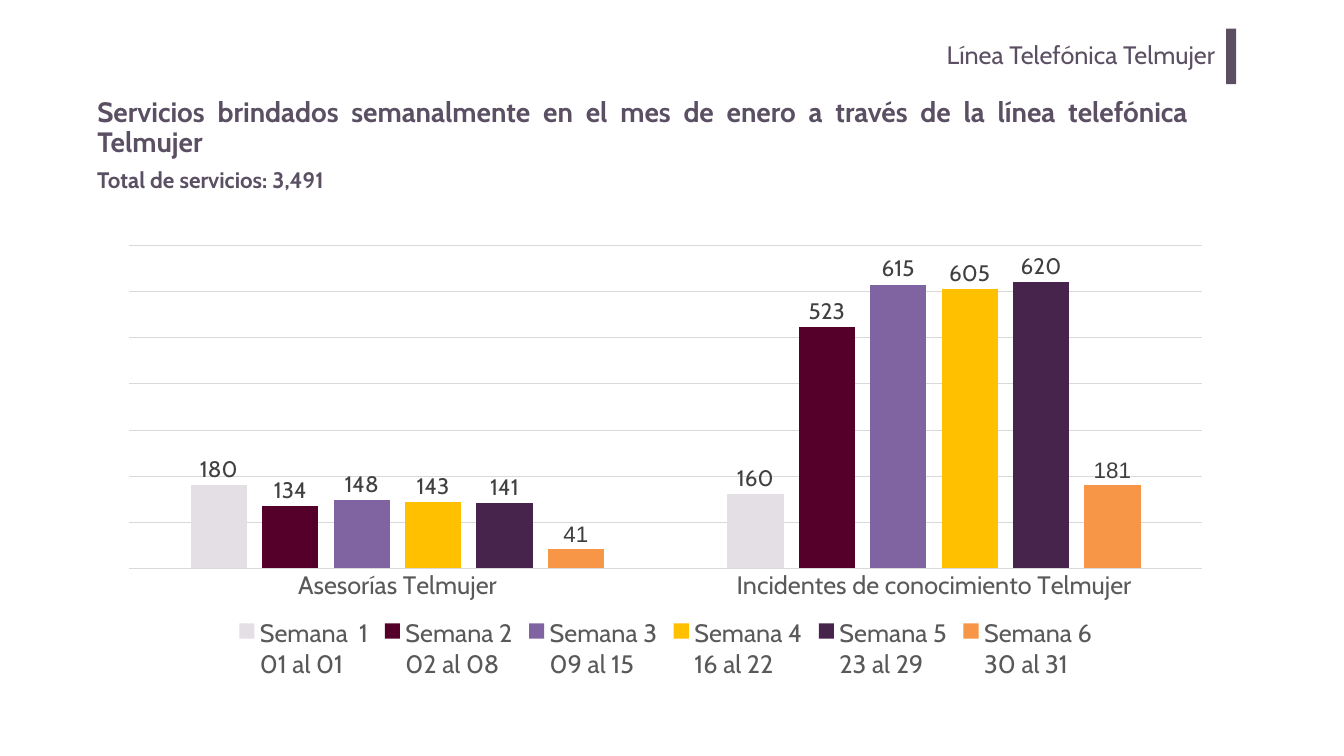
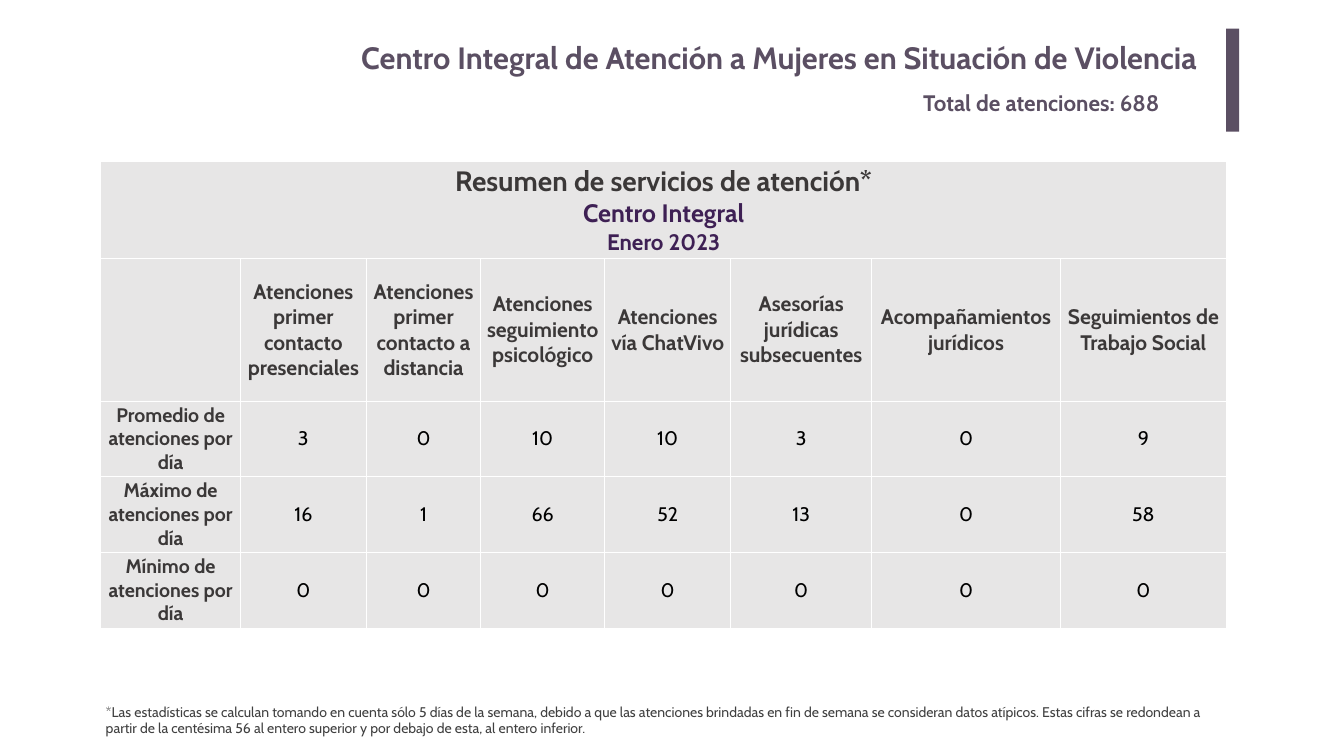
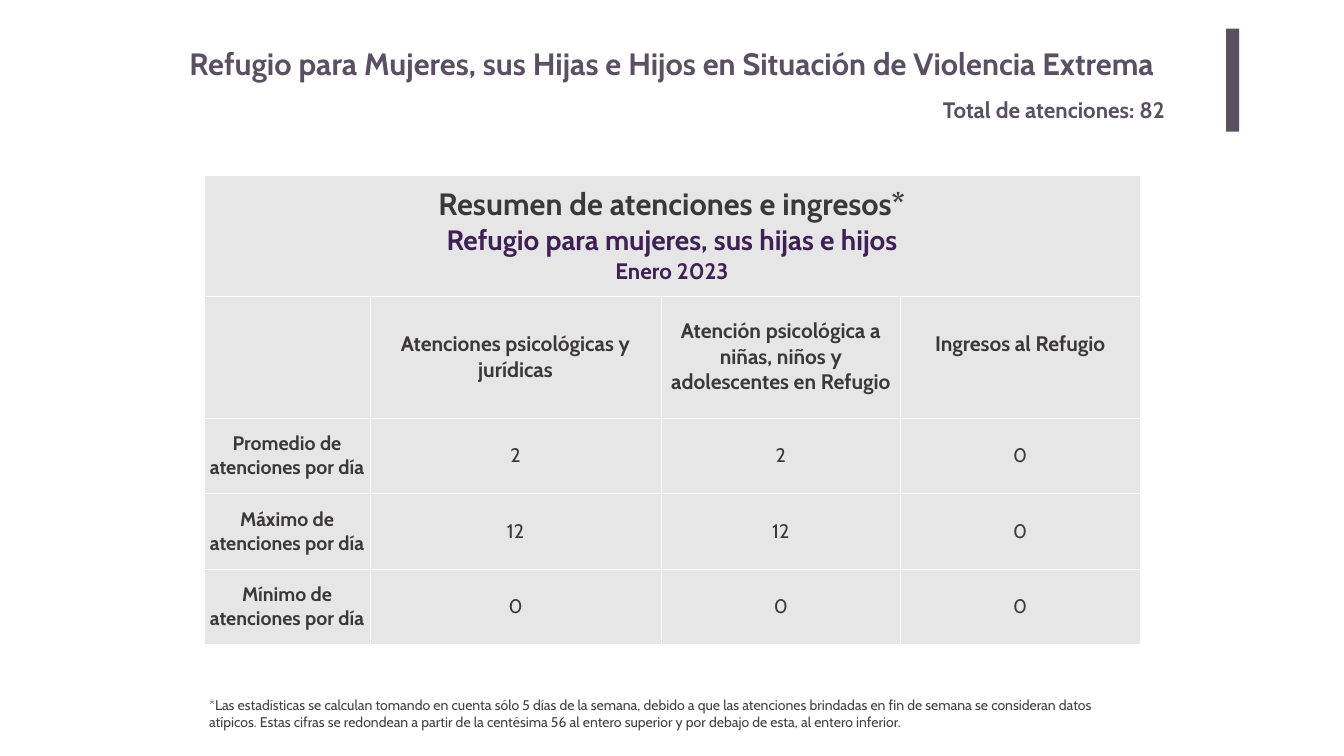
from pptx import Presentation
from pptx.chart.data import CategoryChartData
from pptx.dml.color import RGBColor
from pptx.enum.chart import XL_CHART_TYPE as ChartType, XL_LABEL_POSITION as LabelPosition
from pptx.enum.chart import XL_LEGEND_POSITION as LegendPosition, XL_TICK_LABEL_POSITION as TickLabels
from pptx.enum.chart import XL_TICK_MARK as TickMark
from pptx.enum.shapes import MSO_SHAPE as Shape
from pptx.enum.text import MSO_ANCHOR as Anchor, MSO_AUTO_SIZE as AutoSize, PP_ALIGN as Align
from pptx.oxml import parse_xml
from pptx.oxml.ns import nsdecls
from pptx.util import Inches, Pt

FONT = "Cabin"
PURPLE, VIOLET, DARK, BLACK = "5B4F63", "3E2054", "3B3838", "000000"
WHITE, CELL_GREY, GRID_GREY = "FFFFFF", "E7E6E6", "D9D9D9"
AXIS_TEXT, NOTE_TEXT = "595959", "404040"
WIDE_INSETS, TIGHT_INSETS = (0.2, 0.1), (0.1, 0.05)
NOTE = ("*Las estadísticas se calculan tomando en cuenta sólo 5 días de la semana, debido a que las "
        "atenciones brindadas en fin de semana se consideran datos atípicos. Estas cifras se redondean "
        "a partir de la centésima 56 al entero superior y por debajo de esta, al entero inferior.")
MEASURES = ["Promedio", "Máximo", "Mínimo"]
CATEGORIES = ["Asesorías Telmujer", "Incidentes de conocimiento Telmujer"]
WEEKS = [
    ("Semana  1\n01 al 01", (180, 160), "E3DFE5", FONT),
    ("Semana 2\n02 al 08", (134, 523), "54002A", FONT),
    ("Semana 3\n09 al 15", (148, 615), "8064A2", FONT),
    ("Semana 4\n16 al 22", (143, 605), "FFC000", FONT),
    ("Semana 5\n23 al 29", (141, 620), "46244C", FONT),
    ("Semana 6\n30 al 31", (41, 181), "F79646", "Arial"),
]


def color(code):
    """Turn a hex string into a colour."""
    return RGBColor.from_string(code)


def style_font(font, size, code, bold=False, name=FONT):
    """Set size, colour, weight and typeface."""
    font.size, font.bold, font.name = Pt(size), bold, name
    font.color.rgb = color(code)


def fill_frame(frame, text, size, code, bold, align, insets=TIGHT_INSETS):
    """Write one styled paragraph into a text frame."""
    frame.word_wrap, frame.auto_size = True, AutoSize.NONE
    frame.margin_left = frame.margin_right = Inches(insets[0])
    frame.margin_top = frame.margin_bottom = Inches(insets[1])
    para = frame.paragraphs[0]
    para.text, para.alignment = text, align
    style_font(para.font, size, code, bold)
    return para


def add_text(page, box, text, size, code=PURPLE, bold=True, align=Align.LEFT, insets=TIGHT_INSETS):
    """Add a text box holding one paragraph."""
    shape = page.shapes.add_textbox(*map(Inches, box))
    fill_frame(shape.text_frame, text, size, code, bold, align, insets)


def set_title(page, box, text, size, align, anchor=Anchor.TOP, insets=TIGHT_INSETS, spacing=1.0):
    """Move and format the title placeholder."""
    title = page.shapes.title
    title.left, title.top, title.width, title.height = map(Inches, box)
    para = fill_frame(title.text_frame, text, size, PURPLE, True, align, insets)
    para.line_spacing = spacing
    title.text_frame.vertical_anchor = anchor


def add_band(page, width, height):
    """Add the vertical band at the top right."""
    band = page.shapes.add_shape(Shape.RECTANGLE, *map(Inches, (24.33, 0.57, width, height)))
    band.shadow.inherit = False
    band.fill.solid()
    band.fill.fore_color.rgb = color(PURPLE)
    band.line.fill.background()


def add_week_chart(page, box):
    """Add the clustered columns of services per week."""
    data = CategoryChartData(number_format="0")
    data.categories = CATEGORIES
    for name, values, _, _ in WEEKS:
        data.add_series(name, values)
    chart = page.shapes.add_chart(ChartType.COLUMN_CLUSTERED, *map(Inches, box), data).chart
    style_font(chart.font, 10, BLACK, name="Arial")
    chart.has_title = False
    chart.has_legend = True
    chart.legend.position = LegendPosition.BOTTOM
    chart.legend.include_in_layout = False
    style_font(chart.legend.font, 36, AXIS_TEXT)

    plot = chart.plots[0]
    plot.gap_width, plot.overlap, plot.vary_by_categories = 219, -27, False
    for series, (_, _, code, label_font) in zip(plot.series, WEEKS):
        series.format.fill.solid()
        series.format.fill.fore_color.rgb = color(code)
        series.invert_if_negative = False
        labels = series.data_labels
        labels.show_value, labels.position = True, LabelPosition.OUTSIDE_END
        labels.number_format, labels.number_format_is_linked = "0", False
        style_font(labels.font, 32, NOTE_TEXT, name=label_font)

    categories, values = chart.category_axis, chart.value_axis
    style_font(categories.tick_labels.font, 36, AXIS_TEXT)
    categories.major_tick_mark = TickMark.NONE
    categories.tick_label_position = TickLabels.NEXT_TO_AXIS
    values.visible, values.has_major_gridlines = False, True
    values.minimum_scale, values.maximum_scale, values.major_unit = 0, 700, 100
    for line in (categories.format.line, values.major_gridlines.format.line):
        line.color.rgb, line.width = color(GRID_GREY), Pt(0.75)


def format_cell(cell, lines):
    """Fill a cell with centred lines of (text, size, colour, bold)."""
    properties = cell._tc.get_or_add_tcPr()
    for side in "LRTB":
        properties.append(parse_xml(
            f'<a:ln{side} {nsdecls("a")} w="12700"><a:solidFill><a:srgbClr val="{WHITE}"/>'
            f'</a:solidFill></a:ln{side}>'))
    cell.fill.solid()
    cell.fill.fore_color.rgb = color(CELL_GREY)
    cell.margin_left = cell.margin_right = cell.margin_top = cell.margin_bottom = 0
    cell.vertical_anchor = Anchor.MIDDLE
    for index, (text, size, code, bold) in enumerate(lines):
        para = cell.text_frame.add_paragraph() if index else cell.text_frame.paragraphs[0]
        para.text, para.alignment = text, Align.CENTER
        style_font(para.font, size, code, bold)


def add_summary_table(page, corner, widths, heights, heading, columns, values, value_color):
    """Add a summary table with a merged heading and three measures."""
    size = (sum(widths), sum(heights))
    table = page.shapes.add_table(len(heights), len(widths), *map(Inches, (*corner, *size))).table
    table.first_row = table.horz_banding = False
    for column, width in zip(table.columns, widths):
        column.width = Inches(width)
    for row, height in zip(table.rows, heights):
        row.height = Inches(height)

    sizes_and_colors = zip(heading, (DARK, VIOLET, VIOLET))
    grid = [[[(text, points, code, True) for (text, points), code in sizes_and_colors]]
            + [[] for _ in columns]]
    grid.append([[]] + [[(text, 30, DARK, True)] for text in columns])
    for measure, numbers in zip(MEASURES, values):
        grid.append([[(f"{measure} de atenciones por día", 28, DARK, True)]]
                    + [[(str(number), 28, value_color, False)] for number in numbers])
    for row, contents in enumerate(grid):
        for column, lines in enumerate(contents):
            format_cell(table.cell(row, column), lines)
    table.cell(0, 0).merge(table.cell(0, len(columns)))
    return table


def build_phone_page(page):
    """Build the page on the telephone line."""
    add_band(page, 0.2, 1.1)
    add_text(page, (4.01, 0.67, 20.3, 1.02), "Línea Telefónica Telmujer", 36,
             bold=False, align=Align.RIGHT, insets=WIDE_INSETS)
    set_title(page, (1.83, 1.82, 21.85, 1.45),
              "Servicios brindados semanalmente en el mes de enero a través de la línea telefónica Telmujer",
              40, Align.JUSTIFY, Anchor.MIDDLE, spacing=0.9)
    add_text(page, (1.83, 3.24, 5.64, 0.64), "Total de servicios: 3,491", 32)
    add_week_chart(page, (2.12, 4.69, 22.18, 8.89))


def build_center_page(page):
    """Build the page on the comprehensive centre."""
    add_summary_table(
        page, (2, 3.21), [2.77, 2.5, 2.27, 2.46, 2.5, 2.8, 3.74, 3.3], [1.92, 2.83] + [1.5] * 3,
        [("Resumen de servicios de atención*", 40), ("Centro Integral", 36), ("Enero 2023", 32)],
        ["Atenciones primer contacto presenciales", "Atenciones primer contacto a distancia",
         "Atenciones seguimiento psicológico", "Atenciones vía ChatVivo",
         "Asesorías jurídicas subsecuentes", "Acompañamientos jurídicos",
         "Seguimientos de Trabajo Social"],
        [(3, 0, 10, 10, 3, 0, 9), (16, 1, 66, 52, 13, 0, 58), (0,) * 7], BLACK)
    set_title(page, (3.66, 0.67, 20.3, 1.02),
              "Centro Integral de Atención a Mujeres en Situación de Violencia",
              44, Align.RIGHT, insets=WIDE_INSETS)
    add_band(page, 0.26, 2.04)
    add_text(page, (18.22, 1.71, 5.92, 0.64), "Total de atenciones: 688", 32)
    add_text(page, (2, 13.9, 22.33, 0.77), NOTE, 20, NOTE_TEXT, False)


def build_shelter_page(page):
    """Build the page on the shelter."""
    table = add_summary_table(
        page, (4.05, 3.47), [3.29, 5.78, 4.75, 4.75], [2.4, 2.42] + [1.5] * 3,
        [("Resumen de atenciones e ingresos*", 44), ("Refugio para mujeres, sus hijas e hijos", 40),
         ("Enero 2023", 32)],
        ["Atenciones psicológicas y jurídicas",
         "Atención psicológica a niñas, niños y adolescentes en Refugio", "Ingresos al Refugio"],
        [(2, 2, 0), (12, 12, 0), (0,) * 3], DARK)
    table.cell(1, 3).margin_bottom = Inches(0.5)
    set_title(page, (3.66, 0.84, 20.73, 0.84),
              "Refugio para Mujeres, sus Hijas e Hijos en Situación de Violencia Extrema", 44, Align.LEFT)
    add_band(page, 0.26, 2.04)
    add_text(page, (18.61, 1.85, 5.35, 0.64), "Total de atenciones: 82", 32)
    add_text(page, (4.05, 13.77, 18.56, 0.77), NOTE, 20, NOTE_TEXT, False)


def main():
    """Build the deck and save it."""
    deck = Presentation()
    deck.slide_width, deck.slide_height = Inches(26.67), Inches(15)
    title_only = deck.slide_layouts[5]
    for build in (build_phone_page, build_center_page, build_shelter_page):
        build(deck.slides.add_slide(title_only))
    deck.save("out.pptx")


if __name__ == "__main__":
    main()
